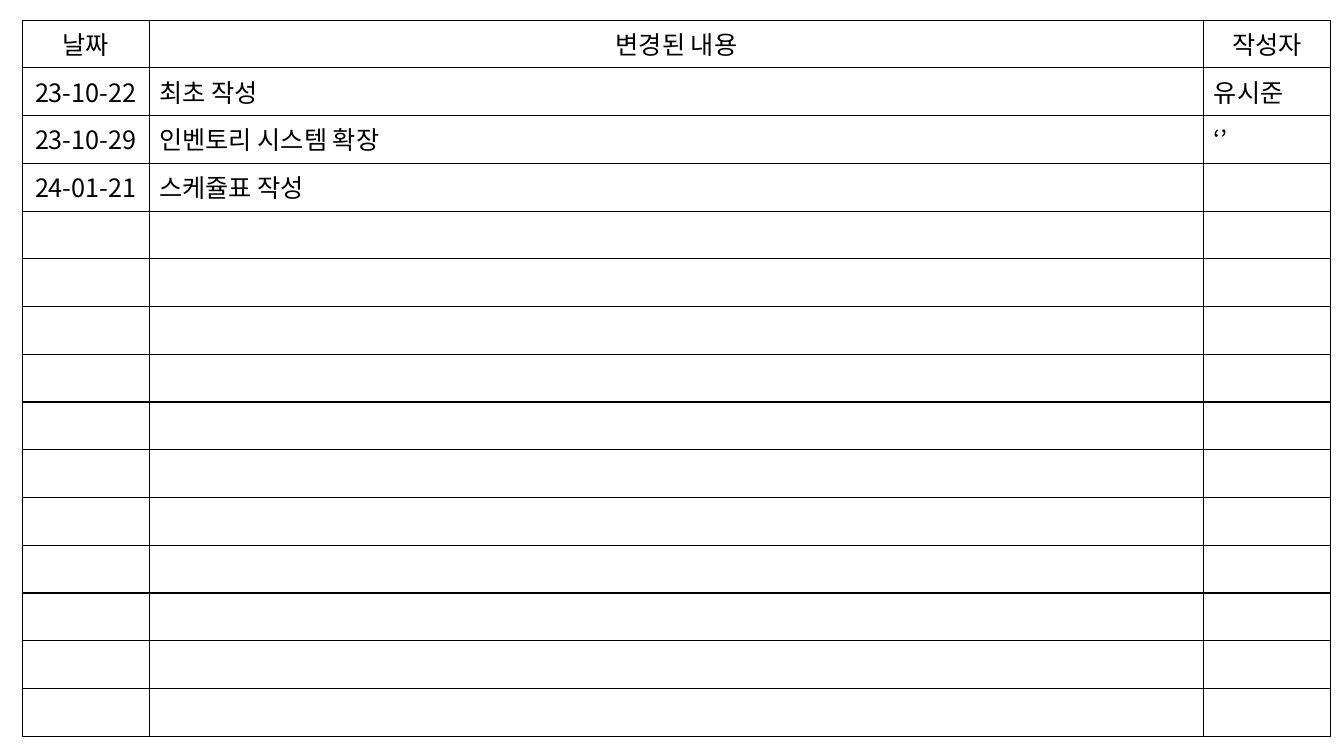
from lxml import etree
from pptx import Presentation
from pptx.dml.color import RGBColor
from pptx.enum.text import PP_ALIGN
from pptx.oxml.ns import qn
from pptx.util import Inches, Pt

BLACK = RGBColor(0, 0, 0)
FONT = "Noto Sans CJK KR"
CENTER, LEFT = PP_ALIGN.CENTER, PP_ALIGN.LEFT
HEADINGS = ("날짜", "변경된 내용", "작성자")
CHANGES = (
    ("23-10-22", "최초 작성", "유시준"),
    ("23-10-29", "인벤토리 시스템 확장", "‘’"),
    ("24-01-21", "스케쥴표 작성", ""),
)
ROW_COUNT = 15
COLUMN_WIDTHS = (1.26, 10.46, 1.26)


def write_text(cell, text, size=18, color=BLACK, align=LEFT):
    """Write one formatted line into a cell."""
    paragraph = cell.text_frame.paragraphs[0]
    paragraph.alignment = align
    run = paragraph.add_run()
    run.text = text
    run.font.size = Pt(size)
    run.font.color.rgb = color
    run.font.name = FONT
    etree.SubElement(run._r.get_or_add_rPr(), qn("a:ea"), typeface=FONT)


def outline_cell(cell, color=BLACK, width=1):
    """Draw all four borders of a cell and leave it unfilled."""
    properties = cell._tc.get_or_add_tcPr()
    for side in ("lnL", "lnR", "lnT", "lnB"):
        border = etree.SubElement(properties, qn(f"a:{side}"), w=str(Pt(width)))
        fill = etree.SubElement(border, qn("a:solidFill"))
        etree.SubElement(fill, qn("a:srgbClr"), val=str(color))
    cell.fill.background()


def add_change_log(slide, left, top, width, height):
    """Place the change log table in the given box, in inches."""
    log = slide.shapes.add_table(
        ROW_COUNT, len(HEADINGS),
        Inches(left), Inches(top), Inches(width), Inches(height),
    ).table
    log.first_row = False
    log.horz_banding = False
    for column, share in zip(log.columns, COLUMN_WIDTHS):
        column.width = Inches(width * share / sum(COLUMN_WIDTHS))
    for cell in log.iter_cells():
        outline_cell(cell)
    for row, entry in enumerate((HEADINGS, *CHANGES)):
        for column, text in enumerate(entry):
            if text:
                align = CENTER if row == 0 or column == 0 else LEFT
                write_text(log.cell(row, column), text, align=align)


def main():
    """Build the change history slide and save it."""
    deck = Presentation()
    deck.slide_width, deck.slide_height = Inches(13.33), Inches(7.5)
    slide = deck.slides.add_slide(deck.slide_layouts[6])
    add_change_log(slide, left=0.22, top=0.2, width=12.98, height=7.11)
    deck.save("out.pptx")


if __name__ == "__main__":
    main()
